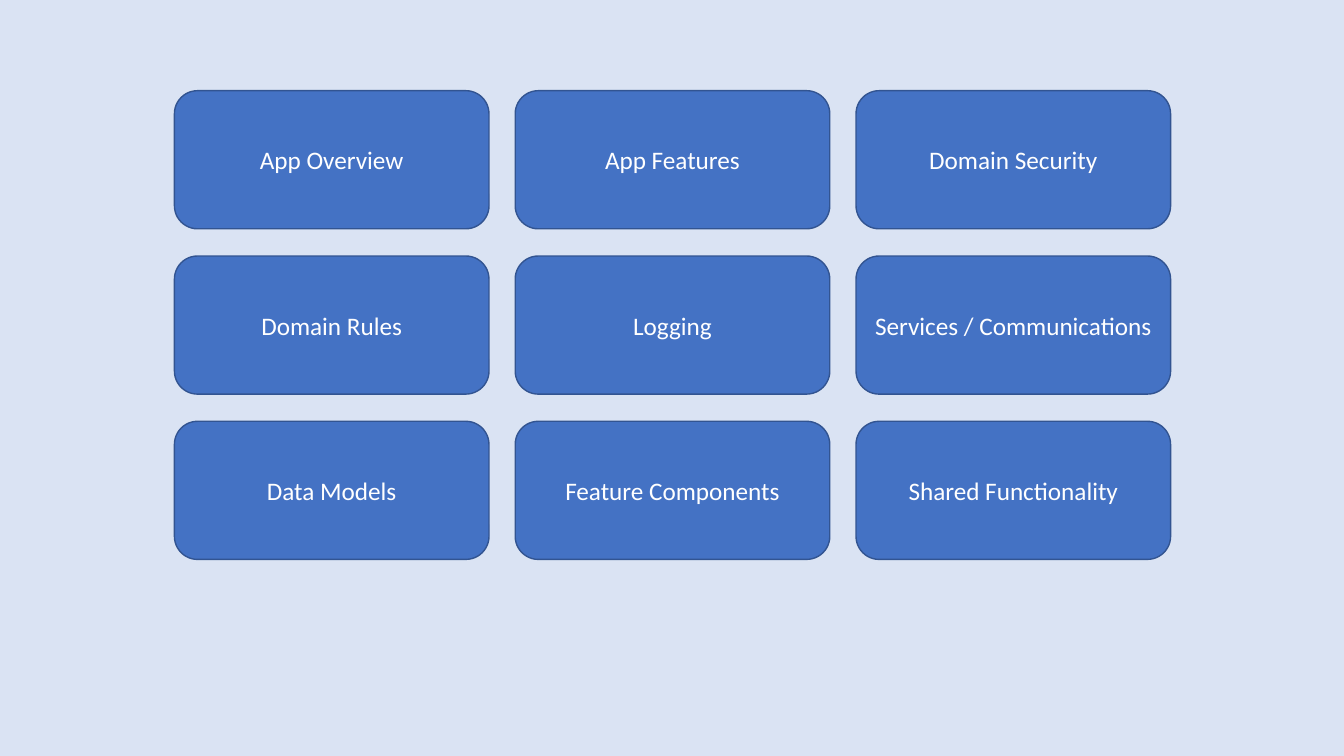
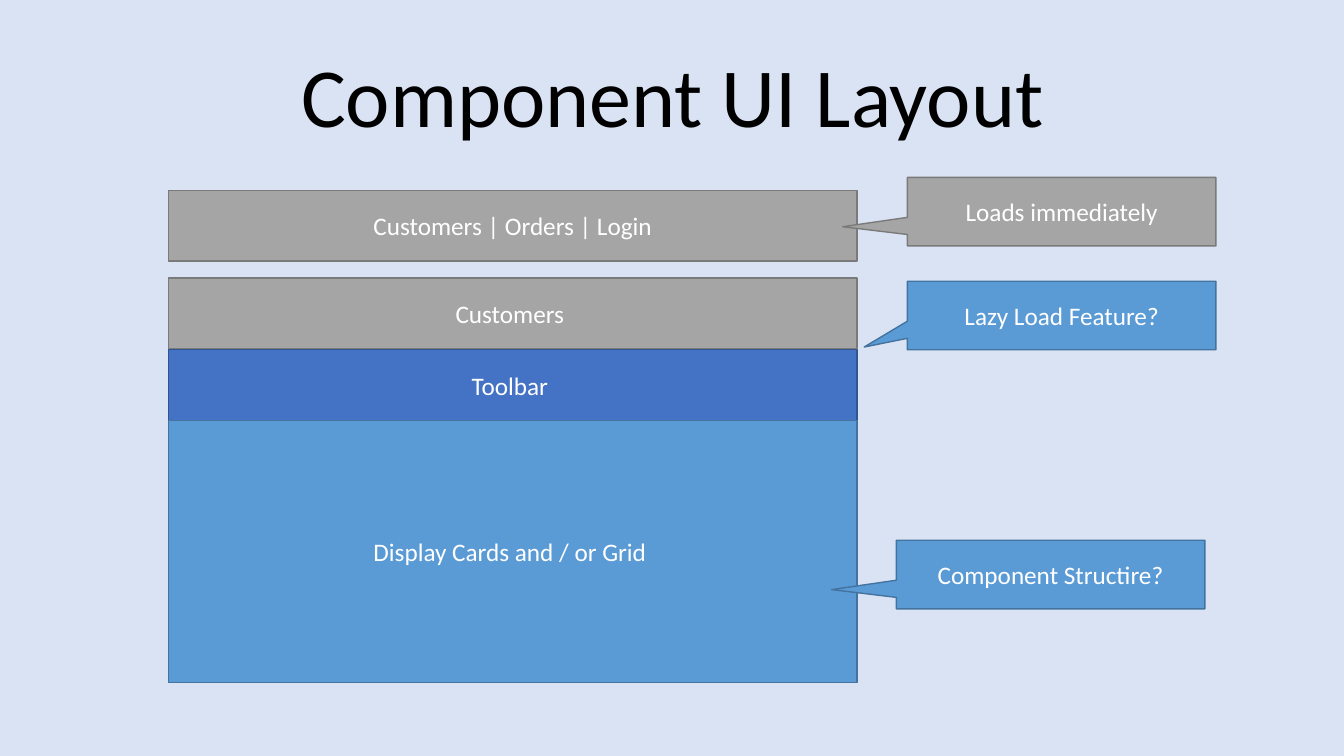
from dataclasses import dataclass

from pptx import Presentation
from pptx.dml.color import RGBColor
from pptx.enum.shapes import MSO_SHAPE as Form
from pptx.enum.text import MSO_ANCHOR as Anchor, PP_ALIGN as Align
from pptx.slide import Slide
from pptx.text.text import TextFrame
from pptx.util import Inches, Pt

FONT = "Calibri"
PAPER = "DAE3F3"
WHITE = "FFFFFF"
BLACK = "000000"


@dataclass(frozen=True)
class Tone:
    fill: str
    line: str


BLUE = Tone("4472C4", "325491")
SKY = Tone("5B9BD5", "43739E")
GRAY = Tone("A5A5A5", "7A7A7A")


@dataclass(frozen=True)
class Box:
    text: str
    left: float
    top: float
    width: float
    height: float
    tone: Tone
    form: Form = Form.RECTANGLE
    tip: tuple[float, ...] = ()


def color(code: str) -> RGBColor:
    return RGBColor.from_string(code)


def write(frame: TextFrame, text: str, size: int, ink: str, anchor: Anchor) -> None:
    frame.word_wrap = True
    frame.vertical_anchor = anchor
    frame.text = text
    para = frame.paragraphs[0]
    para.alignment = Align.CENTER
    font = para.runs[0].font
    font.name = FONT
    font.size = Pt(size)
    font.color.rgb = color(ink)


def draw(slide: Slide, box: Box) -> None:
    shape = slide.shapes.add_shape(
        box.form, Inches(box.left), Inches(box.top),
        Inches(box.width), Inches(box.height),
    )
    shape.shadow.inherit = False
    shape.fill.solid()
    shape.fill.fore_color.rgb = color(box.tone.fill)
    shape.line.color.rgb = color(box.tone.line)
    shape.line.width = Pt(1)
    for i, value in enumerate(box.tip):
        shape.adjustments[i] = value
    write(shape.text_frame, box.text, 18, WHITE, Anchor.MIDDLE)


def title(slide: Slide, text: str) -> None:
    frame = slide.shapes.add_textbox(
        Inches(1.67), Inches(0.43), Inches(10), Inches(1.06)
    ).text_frame
    write(frame, text, 60, BLACK, Anchor.BOTTOM)
    frame.paragraphs[0].line_spacing = 0.9


deck = Presentation()
deck.slide_width = Inches(13.33)
deck.slide_height = Inches(7.5)


def page() -> Slide:
    slide = deck.slides.add_slide(deck.slide_layouts[6])
    slide.background.fill.solid()
    slide.background.fill.fore_color.rgb = color(PAPER)
    return slide


def topics() -> None:
    slide = page()
    grid = [
        ["App Overview", "App Features", "Domain Security"],
        ["Domain Rules", "Logging", "Services / Communications"],
        ["Data Models", "Feature Components", "Shared Functionality"],
    ]
    for row, names in enumerate(grid):
        for col, name in enumerate(names):
            draw(slide, Box(name, 1.73 + 3.38 * col, 0.9 + 1.64 * row,
                            3.12, 1.37, BLUE, Form.ROUNDED_RECTANGLE))


def layout() -> None:
    slide = page()
    title(slide, "Component UI Layout")
    bands = [
        ("Customers | Orders | Login", 1.89, 0.7, GRAY),
        ("Customers ", 2.76, 0.7, GRAY),
        ("Toolbar ", 3.47, 0.7, BLUE),
        ("Display Cards and / or Grid ", 4.17, 2.6, SKY),
    ]
    for text, top, height, tone in bands:
        draw(slide, Box(text, 1.67, top, 6.83, height, tone))
    level = (-0.71, 0.22)
    notes = [
        ("Component Structire?", 8.89, 5.36, SKY, level),
        ("Lazy Load Feature?", 9, 2.79, SKY, (-0.64, 0.46)),
        ("Loads immediately", 9, 1.76, GRAY, level),
    ]
    for text, left, top, tone, tip in notes:
        draw(slide, Box(text, left, top, 3.06, 0.68, tone,
                        Form.RECTANGULAR_CALLOUT, tip))


topics()
layout()
deck.save("out.pptx")
